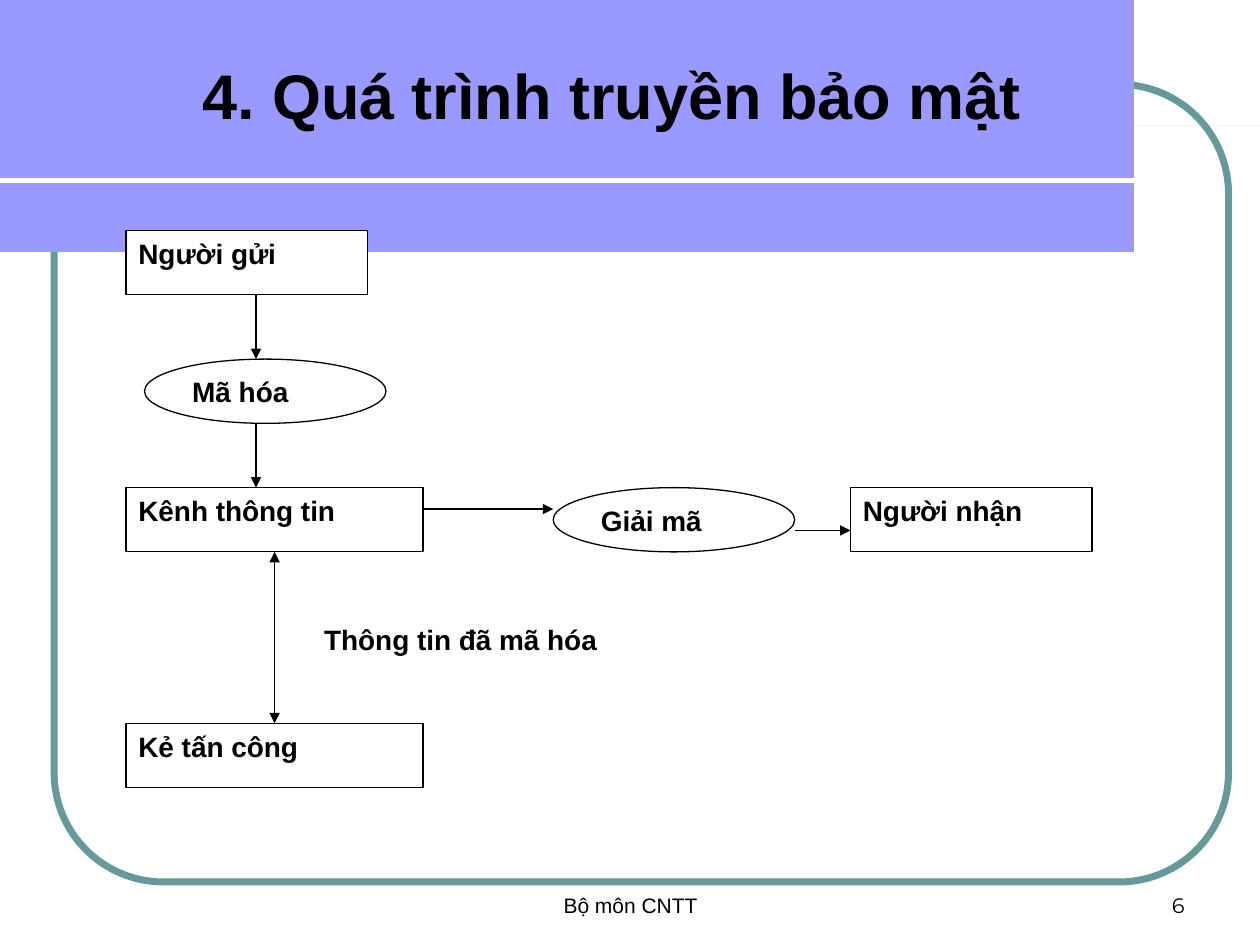
from dataclasses import dataclass
from math import cos, pi, sin

from pptx import Presentation
from pptx.dml.color import RGBColor as RGB
from pptx.enum.shapes import MSO_CONNECTOR as LINE, MSO_SHAPE as SHAPE
from pptx.enum.text import MSO_ANCHOR as ANCHOR, PP_ALIGN as ALIGN
from pptx.oxml.ns import qn
from pptx.util import Inches, Pt
from lxml.etree import SubElement


@dataclass(frozen=True)
class Theme:
    ink: RGB = RGB(0x00, 0x00, 0x00)
    paper: RGB = RGB(0xFF, 0xFF, 0xFF)
    banner: RGB = RGB(0x99, 0x99, 0xFF)
    frame: RGB = RGB(0x66, 0x99, 0x99)
    font: str = "Arial"
    number_font: str = "Montserrat"
    title: int = 36
    body: int = 16
    footer: int = 12
    thin: float = 0.75
    rule: int = 3
    thick: int = 4


THEME = Theme()

# Diagram grid: origin and cell size in inches; nodes are 3 rows high
LEFT, TOP = 1, 1.83
COL, ROW = 5.75 / 39, 0.17
NODE_ROWS = 3

# Label, shape, column, row, columns wide
NODES = [
    ("Người gửi", SHAPE.RECTANGLE, 0, 0, 13),
    ("Mã hóa", SHAPE.OVAL, 1, 6, 13),
    ("Kênh thông tin", SHAPE.RECTANGLE, 0, 12, 16),
    ("Giải mã", SHAPE.OVAL, 23, 12, 13),
    ("Người nhận", SHAPE.RECTANGLE, 39, 12, 13),
    ("Kẻ tấn công", SHAPE.RECTANGLE, 0, 23, 16),
]

# Start and end as (column, row), then whether both ends have a head
ARROWS = [
    ((7, 3), (7, 6), False),
    ((7, 9), (7, 12), False),
    ((16, 13), (23, 13), False),
    ((36, 14), (39, 14), False),
    ((8, 23), (8, 15), True),
]


def grid(col, row):
    return LEFT + col * COL, TOP + row * ROW


def inches(*lengths):
    return [Inches(v) for v in lengths]


def set_text(s, text, size, bold=False, font=THEME.font,
             align=ALIGN.LEFT, anchor=ANCHOR.TOP, after=0):
    tf = s.text_frame
    tf.word_wrap = True
    tf.vertical_anchor = anchor
    tf.text = text
    p = tf.paragraphs[0]
    p.alignment = align
    p.space_after = Pt(after)
    f = p.runs[0].font
    f.name, f.size, f.bold = font, Pt(size), bold
    f.color.rgb = THEME.ink


def add_text(slide, box, text, size, **style):
    set_text(slide.shapes.add_textbox(*inches(*box)), text, size, **style)


def add_line(slide, start, end, color, width):
    s = slide.shapes.add_connector(LINE.STRAIGHT, *inches(*start, *end))
    s.line.color.rgb = color
    s.line.width = Pt(width)
    SubElement(s._element.spPr, qn("a:effectLst"))
    return s


def add_arrow(slide, start, end, both):
    s = add_line(slide, grid(*start), grid(*end), THEME.ink, THEME.thin)
    ln = s.line._get_or_add_ln()
    for tag in ("a:headEnd", "a:tailEnd") if both else ("a:tailEnd",):
        SubElement(ln, qn(tag), type="triangle")


def add_node(slide, text, kind, col, row, cols):
    s = slide.shapes.add_shape(
        kind, *inches(*grid(col, row), cols * COL, NODE_ROWS * ROW))
    s.shadow.inherit = False
    s.fill.solid()
    s.fill.fore_color.rgb = THEME.paper
    s.line.color.rgb = THEME.ink
    s.line.width = Pt(THEME.thin)
    set_text(s, text, THEME.body, bold=True, after=10)


def add_frame(slide):
    s = slide.shapes.add_shape(
        SHAPE.ROUNDED_RECTANGLE, *inches(0.43, 0.67, 9.32, 6.33))
    s.adjustments[0] = 0.137
    s.shadow.inherit = False
    s.fill.background()
    s.line.color.rgb = THEME.frame
    s.line.width = Pt(THEME.thick)


def add_banner(slide, top=0.25, height=1.35, straight=8.9, steps=48):
    """Band from the left edge that ends in a half circle, with a rule."""
    radius = height / 2
    angles = [pi * (i / steps - 0.5) for i in range(steps + 1)]
    arc = [(straight + radius * cos(a), top + radius + radius * sin(a))
           for a in angles]
    builder = slide.shapes.build_freeform(0, top, scale=Inches(1))
    builder.add_line_segments(arc + [(0, top + height)], close=True)
    s = builder.convert_to_shape()
    s.shadow.inherit = False
    s.fill.solid()
    s.fill.fore_color.rgb = THEME.banner
    s.line.fill.background()
    add_line(slide, (0, 1.43), (9.07, 1.43), THEME.paper, THEME.rule)


def main():
    prs = Presentation()
    prs.slide_width, prs.slide_height = inches(10, 7.5)
    slide = prs.slides.add_slide(prs.slide_layouts[6])

    add_frame(slide)
    add_banner(slide)
    add_text(slide, (0.21, 0.25, 9.29, 1), "4. Quá trình truyền bảo mật",
             THEME.title, bold=True, align=ALIGN.CENTER, anchor=ANCHOR.MIDDLE)
    add_text(slide, (3.42, 6.83, 3.17, 0.5), "Bộ môn CNTT", THEME.footer,
             align=ALIGN.CENTER, anchor=ANCHOR.BOTTOM)
    add_text(slide, (7.17, 6.83, 2.33, 0.5), "6", THEME.footer,
             font=THEME.number_font, align=ALIGN.RIGHT, anchor=ANCHOR.BOTTOM)

    for node in NODES:
        add_node(slide, *node)
    for arrow in ARROWS:
        add_arrow(slide, *arrow)
    add_text(slide, (*grid(10, 18), 21 * COL, NODE_ROWS * ROW),
             "Thông tin đã mã hóa", THEME.body, bold=True, after=10)

    prs.save("out.pptx")


if __name__ == "__main__":
    main()
